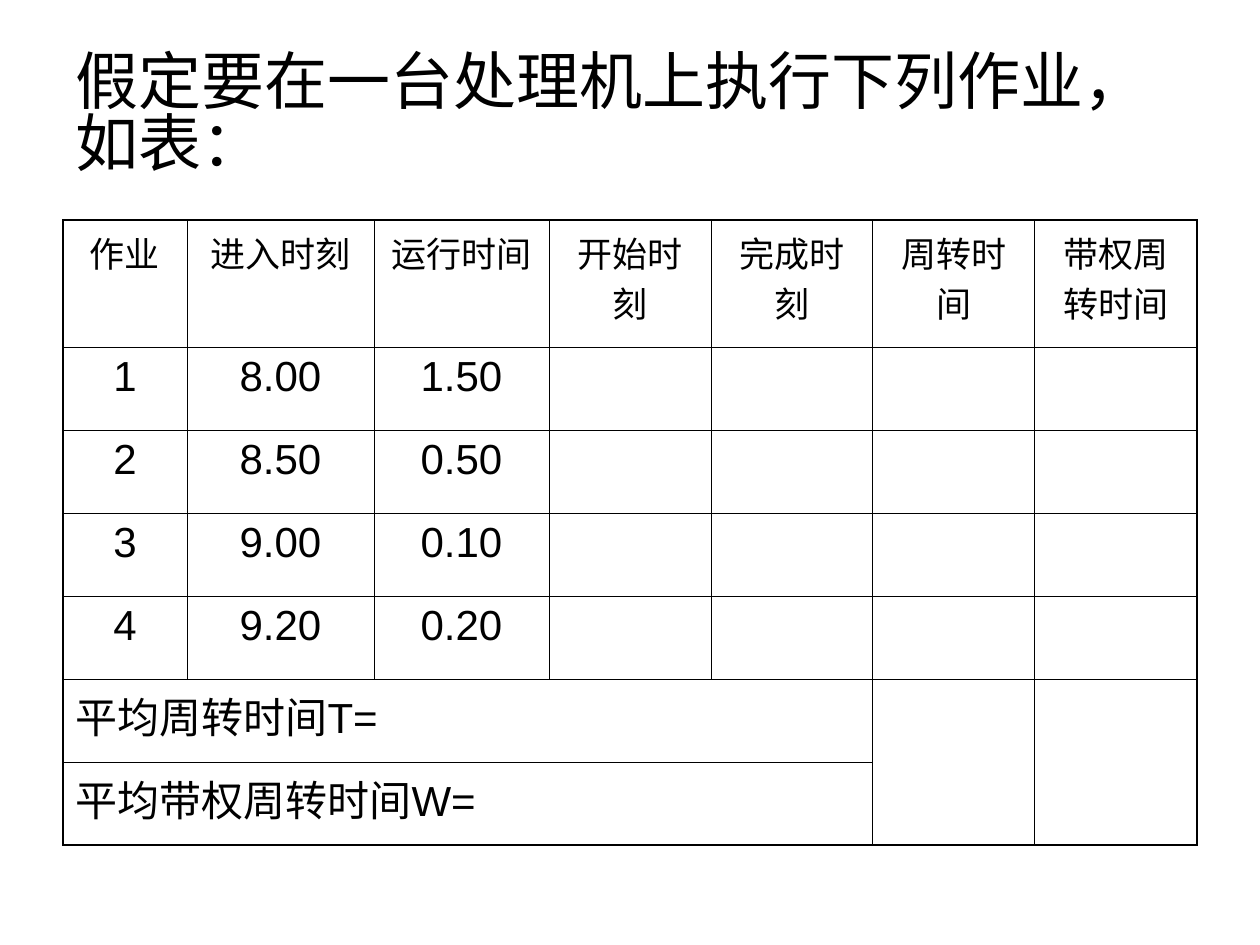
"""Build a slide with a job scheduling table for a single processor."""
from lxml import etree
from pptx import Presentation
from pptx import util as u
from pptx.dml.color import RGBColor
from pptx.enum import text
from pptx.oxml.ns import qn

TITLE = "假定要在一台处理机上执行下列作业，如表："
HEADERS = ["作业", "进入时刻", "运行时间", "开始时刻", "完成时刻", "周转时间", "带权周转时间"]
JOBS = [
    ("1", "8.00", "1.50"),
    ("2", "8.50", "0.50"),
    ("3", "9.00", "0.10"),
    ("4", "9.20", "0.20"),
]
AVERAGES = ["平均周转时间T=", "平均带权周转时间W="]
COLORS = {"ink": "000000", "paper": "FFFFFF"}
FONT = "Arial"
THIN, THICK = 0.45, 1.08

TITLE_BOX = (63, 38, 1134, 158)
TABLE_ORIGIN = (63, 220)
COLUMN_WIDTHS = [124, 187, 175] + [162] * 4
ROW_HEIGHTS = [127] + [83] * 6
AVERAGE_SPAN = 5


def px(value):
    return u.Emu(round(value * 914400 / 126))


def add_run(paragraph, words, size):
    run = paragraph.add_run()
    run.text = words
    run.font.name = FONT
    run.font.size = u.Pt(size)
    run.font.bold = False
    run.font.color.rgb = RGBColor.from_string(COLORS["ink"])


def write_cell(cell, words, size, space, alignment):
    paragraph = cell.text_frame.paragraphs[0]
    paragraph.alignment = alignment
    paragraph.space_before = u.Pt(space)
    add_run(paragraph, words, size)


def set_borders(cell, outer_sides):
    properties = cell._tc.get_or_add_tcPr()
    for side in "LRTB":
        width = THICK if side in outer_sides else THIN
        line = etree.SubElement(properties, qn(f"a:ln{side}"), w=str(u.Pt(width)))
        fill = etree.SubElement(line, qn("a:solidFill"))
        etree.SubElement(fill, qn("a:srgbClr"), val=COLORS["ink"])
    cell.fill.background()


def add_title(slide):
    title = slide.shapes.title
    title.left, title.top, title.width, title.height = map(px, TITLE_BOX)
    frame = title.text_frame
    frame.word_wrap = True
    frame.auto_size = text.MSO_AUTO_SIZE.NONE
    frame.vertical_anchor = text.MSO_ANCHOR.MIDDLE
    paragraph = frame.paragraphs[0]
    paragraph.alignment = text.PP_ALIGN.LEFT
    paragraph.line_spacing = 0.82
    add_run(paragraph, TITLE, 36)


def add_job_table(slide):
    row_count, column_count = len(ROW_HEIGHTS), len(COLUMN_WIDTHS)
    size = (sum(COLUMN_WIDTHS), sum(ROW_HEIGHTS))
    table = slide.shapes.add_table(
        row_count, column_count, *map(px, TABLE_ORIGIN + size)).table
    table.first_row = table.horz_banding = False
    for column, width in zip(table.columns, COLUMN_WIDTHS):
        column.width = px(width)
    for row, height in zip(table.rows, ROW_HEIGHTS):
        row.height = px(height)

    first_average = 1 + len(JOBS)
    for row in range(first_average, row_count):
        table.cell(row, 0).merge(table.cell(row, AVERAGE_SPAN - 1))
    for column in range(AVERAGE_SPAN, column_count):
        table.cell(first_average, column).merge(table.cell(row_count - 1, column))

    for row in range(row_count):
        for column in range(column_count):
            cell = table.cell(row, column)
            edges = {
                "L": column == 0,
                "R": column + cell.span_width == column_count,
                "T": row == 0,
                "B": row + cell.span_height == row_count,
            }
            set_borders(cell, [side for side, outer in edges.items() if outer])

    center, left = text.PP_ALIGN.CENTER, text.PP_ALIGN.LEFT
    for column, header in enumerate(HEADERS):
        write_cell(table.cell(0, column), header, 20, 5, center)
    for row, job in enumerate(JOBS, 1):
        for column, value in enumerate(job):
            write_cell(table.cell(row, column), value, 24, 6, center)
    for row, label in enumerate(AVERAGES, first_average):
        write_cell(table.cell(row, 0), label, 24, 6, left)


def main():
    presentation = Presentation()
    presentation.slide_width, presentation.slide_height = px(1260), px(945)
    slide = presentation.slides.add_slide(presentation.slide_layouts[5])
    background = slide.background.fill
    background.solid()
    background.fore_color.rgb = RGBColor.from_string(COLORS["paper"])
    add_title(slide)
    add_job_table(slide)
    presentation.save("out.pptx")


if __name__ == "__main__":
    main()
